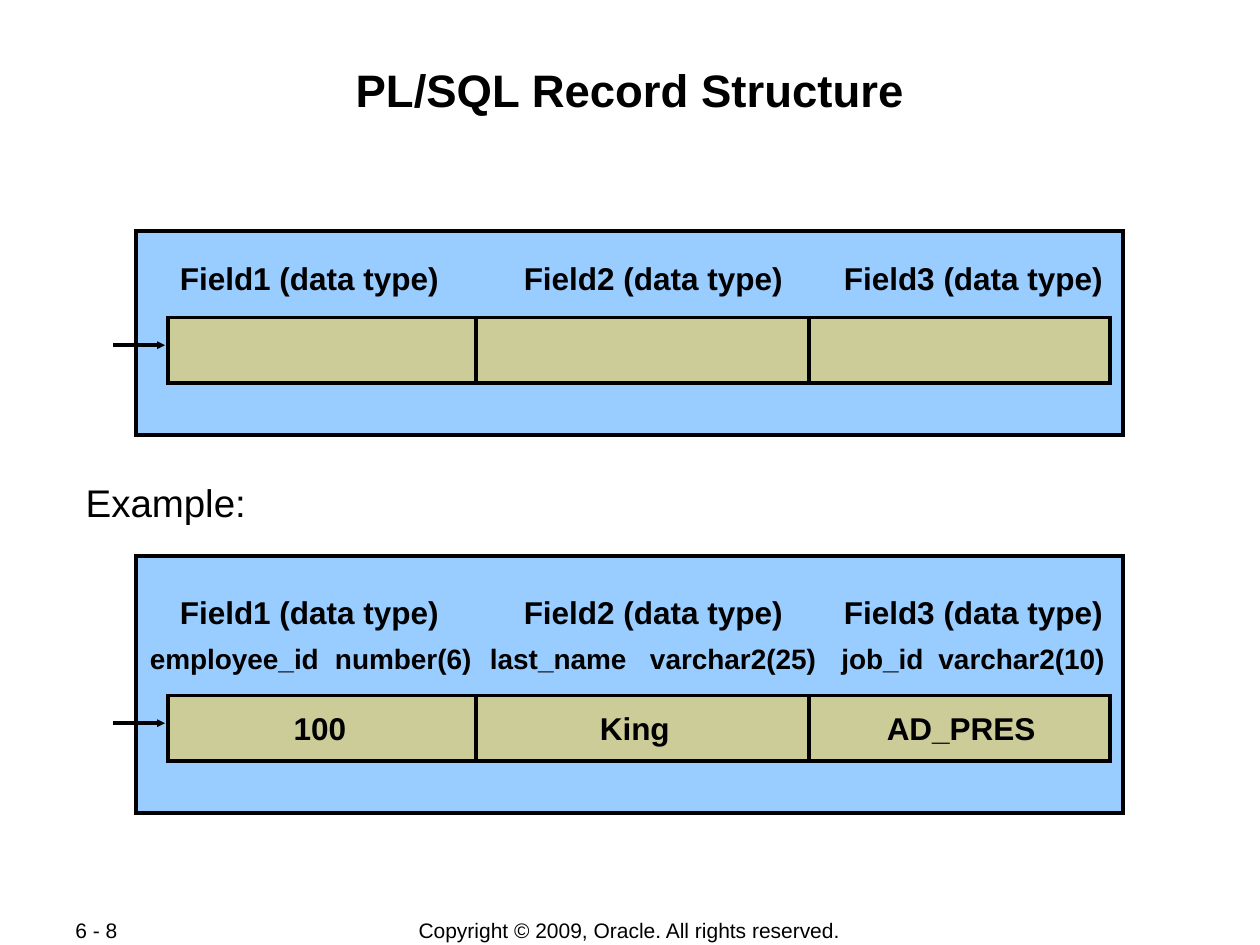
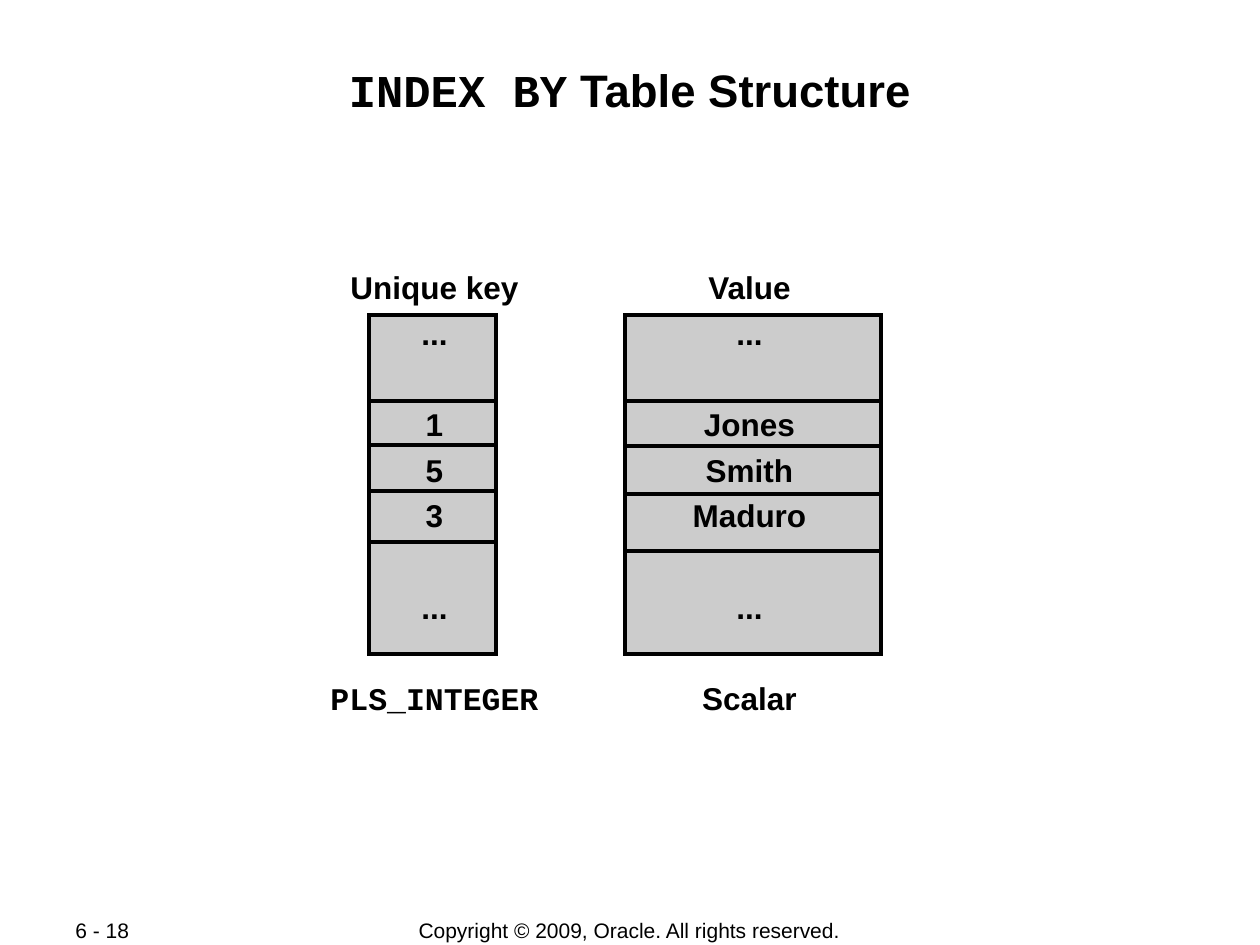
from dataclasses import dataclass

from lxml import etree
from pptx import Presentation
from pptx.dml.color import RGBColor
from pptx.enum.shapes import MSO_CONNECTOR, MSO_SHAPE
from pptx.enum.text import MSO_ANCHOR, MSO_AUTO_SIZE, PP_ALIGN
from pptx.oxml.ns import qn
from pptx.util import Inches, Pt

BLACK = RGBColor(0x00, 0x00, 0x00)
PANEL_BLUE = RGBColor(0x99, 0xCC, 0xFF)
BAR_OLIVE = RGBColor(0xCC, 0xCC, 0x99)
COLUMN_GREY = RGBColor(0xCC, 0xCC, 0xCC)
SANS, MONO = "Arial", "Courier New"
LINE_WIDTH = Pt(2.25)
LEFT, CENTER = PP_ALIGN.LEFT, PP_ALIGN.CENTER
TOP, MIDDLE = MSO_ANCHOR.TOP, MSO_ANCHOR.MIDDLE
NO_AUTOFIT = MSO_AUTO_SIZE.NONE
RECTANGLE, STRAIGHT = MSO_SHAPE.RECTANGLE, MSO_CONNECTOR.STRAIGHT
TITLE_AND_BODY, TITLE_ONLY = 1, 5

MARGIN, CONTENT_WIDTH = 0.67, 8.66
COPYRIGHT = "Copyright © 2009, Oracle. All rights reserved."

PANEL_LEFT, PANEL_WIDTH = 1.08, 7.83
BAR_LEFT, BAR_WIDTH, BAR_HEIGHT = 1.33, 7.48, 0.52
BAR_DIVIDERS = (3.78, 6.42)
FIELD_LEFTS = (1.33, 4.06, 6.6)
VALUE_TABS = (1.11, 3.61, 6.2)
COLUMN_TABS = (1.51, 4.01)
COLUMN_TOP, COLUMN_HEIGHT = 2.5, 2.69
ROW_GAP, SKIPPED_ROW_GAP = 4.5, 30.5


@dataclass(frozen=True)
class Declaration:
    name: str
    data_type: str
    left: float
    width: float
    type_tab: float


@dataclass(frozen=True)
class Record:
    top: float
    height: float
    labels_top: float
    bar_top: float
    declarations: tuple[Declaration, ...] = ()
    values: tuple[str, ...] = ()


@dataclass(frozen=True)
class Column:
    left: float
    width: float
    dividers: tuple[float, ...]


@dataclass(frozen=True)
class Row:
    key: str
    value: str
    space_before: float = ROW_GAP
    key_font: str = SANS


RECORDS = (
    Record(1.83, 1.62, 2.01, 2.52),
    Record(
        4.41, 2.04, 4.66, 5.52,
        declarations=(
            Declaration("employee_id", "number(6)", 1.09, 2.75, 1.47),
            Declaration("last_name", "varchar2(25)", 3.79, 2.79, 1.27),
            Declaration("job_id", "varchar2(10)", 6.58, 2.3, 0.77),
        ),
        values=("100", "King", "AD_PRES"),
    ),
)
COLUMNS = (
    Column(2.93, 1.01, (3.18, 3.53, 3.9, 4.3)),
    Column(4.96, 2.03, (3.18, 3.54, 3.92, 4.37)),
)
ROWS = (
    Row("Unique key", "Value", 0),
    Row("...", "..."),
    Row("1", "Jones", SKIPPED_ROW_GAP),
    Row("5", "Smith"),
    Row("3", "Maduro"),
    Row("...", "...", SKIPPED_ROW_GAP),
    Row("PLS_INTEGER", "Scalar", SKIPPED_ROW_GAP, MONO),
)


def style(p, size: float, bold: bool = False, align=LEFT) -> None:
    p.alignment = align
    p.font.name = SANS
    p.font.size = Pt(size)
    p.font.bold = bold
    p.font.color.rgb = BLACK


def add_run(p, text: str, font: str = SANS) -> None:
    r = p.add_run()
    r.text = text
    if font != SANS:
        r.font.name = font


def set_tabs(p, stops, align: str) -> None:
    tabs = etree.SubElement(p._p.get_or_add_pPr(), qn("a:tabLst"))
    for stop in stops:
        etree.SubElement(tabs, qn("a:tab"), pos=str(Inches(stop)), algn=align)


def place(sp, left: float, top: float, width: float, height: float) -> None:
    sp.left, sp.top = Inches(left), Inches(top)
    sp.width, sp.height = Inches(width), Inches(height)


def text_box(slide, left: float, top: float, width: float, height: float):
    sp = slide.shapes.add_textbox(
        Inches(left), Inches(top), Inches(width), Inches(height))
    sp.text_frame.word_wrap = True
    return sp.text_frame


def label(slide, text: str, left: float, top: float, width: float,
          height: float, size: float, bold: bool = False, align=LEFT,
          anchor=TOP) -> None:
    tf = text_box(slide, left, top, width, height)
    tf.vertical_anchor = anchor
    if align == CENTER:
        tf.margin_left = tf.margin_right = 0
    p = tf.paragraphs[0]
    p.text = text
    style(p, size, bold, align)


def rectangle(slide, left: float, top: float, width: float, height: float,
              color: RGBColor):
    sp = slide.shapes.add_shape(
        RECTANGLE, Inches(left), Inches(top), Inches(width), Inches(height))
    sp.shadow.inherit = False
    sp.fill.solid()
    sp.fill.fore_color.rgb = color
    sp.line.color.rgb = BLACK
    sp.line.width = LINE_WIDTH
    etree.SubElement(sp._element.spPr.find(qn("a:ln")), qn("a:miter"),
                     lim="800000")
    return sp


def line(slide, x1: float, y1: float, x2: float, y2: float,
         arrow: bool = False) -> None:
    cxn = slide.shapes.add_connector(
        STRAIGHT, Inches(x1), Inches(y1), Inches(x2), Inches(y2))
    cxn.line.color.rgb = BLACK
    cxn.line.width = LINE_WIDTH
    props = cxn._element.spPr
    if arrow:
        etree.SubElement(props.find(qn("a:ln")), qn("a:tailEnd"),
                         type="triangle", w="sm", len="sm")
    etree.SubElement(props, qn("a:effectLst"))


def add_slide(prs, layout: int, page: str, title_runs):
    """Add a slide with its title, page number and copyright line."""
    slide = prs.slides.add_slide(prs.slide_layouts[layout])
    title = slide.shapes.title
    place(title, MARGIN, 0.48, CONTENT_WIDTH, 0.96)
    tf = title.text_frame
    tf.auto_size = NO_AUTOFIT
    tf.vertical_anchor = TOP
    tf.margin_top = Inches(0.01)
    p = tf.paragraphs[0]
    for text, font in title_runs:
        add_run(p, text, font)
    style(p, 26, True, CENTER)

    label(slide, page, 0.5, 7.28, 1.06, 0.2, 12, anchor=MIDDLE)
    label(slide, COPYRIGHT, 2.75, 7.28, 4.49, 0.21, 12,
          align=CENTER, anchor=MIDDLE)
    return slide


def draw_record(slide, record: Record) -> None:
    rectangle(slide, PANEL_LEFT, record.top, PANEL_WIDTH, record.height,
              PANEL_BLUE)
    bar_top = record.bar_top
    bar = rectangle(slide, BAR_LEFT, bar_top, BAR_WIDTH, BAR_HEIGHT, BAR_OLIVE)
    if record.values:
        p = bar.text_frame.paragraphs[0]
        add_run(p, "".join(f"\t{value}" for value in record.values))
        set_tabs(p, VALUE_TABS, "ctr")
        style(p, 18, True)
    line(slide, 0.9, bar_top + 0.22, 1.31, bar_top + 0.22, arrow=True)
    for x in BAR_DIVIDERS:
        line(slide, x, bar_top + 0.01, x, bar_top + 0.52)

    for number, left in enumerate(FIELD_LEFTS, 1):
        label(slide, f"Field{number} (data type)", left, record.labels_top,
              2.25, 0.4, 18, True, CENTER)
    for item in record.declarations:
        tf = text_box(slide, item.left, 5.04, item.width, 0.37)
        tf.margin_right = 0
        p = tf.paragraphs[0]
        add_run(p, f"{item.name}\t{item.data_type}")
        set_tabs(p, (item.type_tab,), "l")
        style(p, 16, True)


def record_slide(prs) -> None:
    slide = add_slide(prs, TITLE_AND_BODY, "6 - 8",
                      [("PL/SQL Record Structure", SANS)])
    body = slide.placeholders[1]
    place(body, MARGIN, 3.79, CONTENT_WIDTH, 0.45)
    tf = body.text_frame
    tf.auto_size = NO_AUTOFIT
    tf.margin_left = tf.margin_top = Inches(0.01)
    p = tf.paragraphs[0]
    p.text = "Example:"
    props = p._p.get_or_add_pPr()
    props.set("marL", "0")
    props.set("indent", "0")
    etree.SubElement(props, qn("a:buNone"))
    p.space_before = Pt(0)
    style(p, 22)
    for record in RECORDS:
        draw_record(slide, record)


def index_by_slide(prs) -> None:
    slide = add_slide(prs, TITLE_ONLY, "6 - 18",
                      [("INDEX BY", MONO), (" Table Structure", SANS)])
    for column in COLUMNS:
        rectangle(slide, column.left, COLUMN_TOP, column.width, COLUMN_HEIGHT,
                  COLUMN_GREY)
        for y in column.dividers:
            line(slide, column.left, y, column.left + column.width, y)

    tf = text_box(slide, 1.84, 2.08, 5.5, 3.66)
    for i, row in enumerate(ROWS):
        p = tf.add_paragraph() if i else tf.paragraphs[0]
        add_run(p, f"\t{row.key}\t", row.key_font)
        add_run(p, row.value)
        set_tabs(p, COLUMN_TABS, "ctr")
        p.space_before = Pt(row.space_before)
        style(p, 18, True)


def main() -> None:
    prs = Presentation()
    prs.slide_width, prs.slide_height = Inches(10), Inches(7.5)
    record_slide(prs)
    index_by_slide(prs)
    prs.save("out.pptx")


if __name__ == "__main__":
    main()
